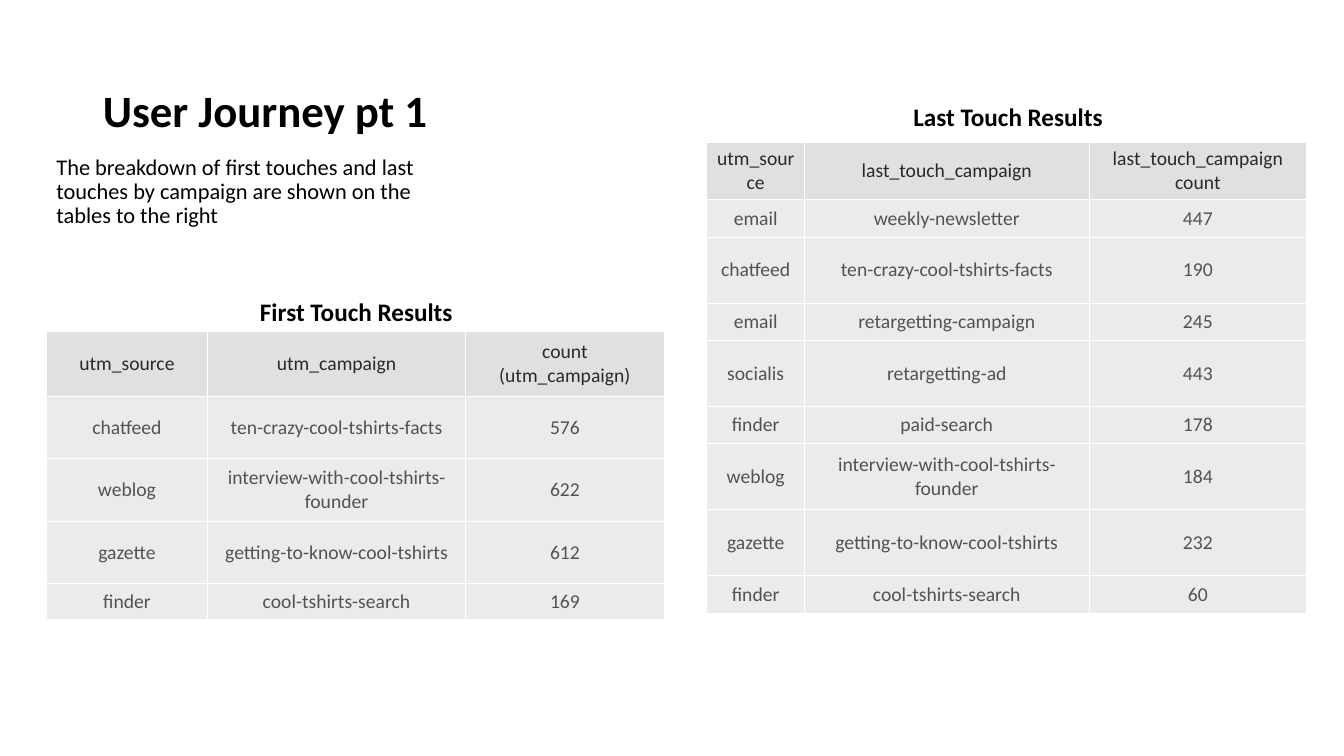
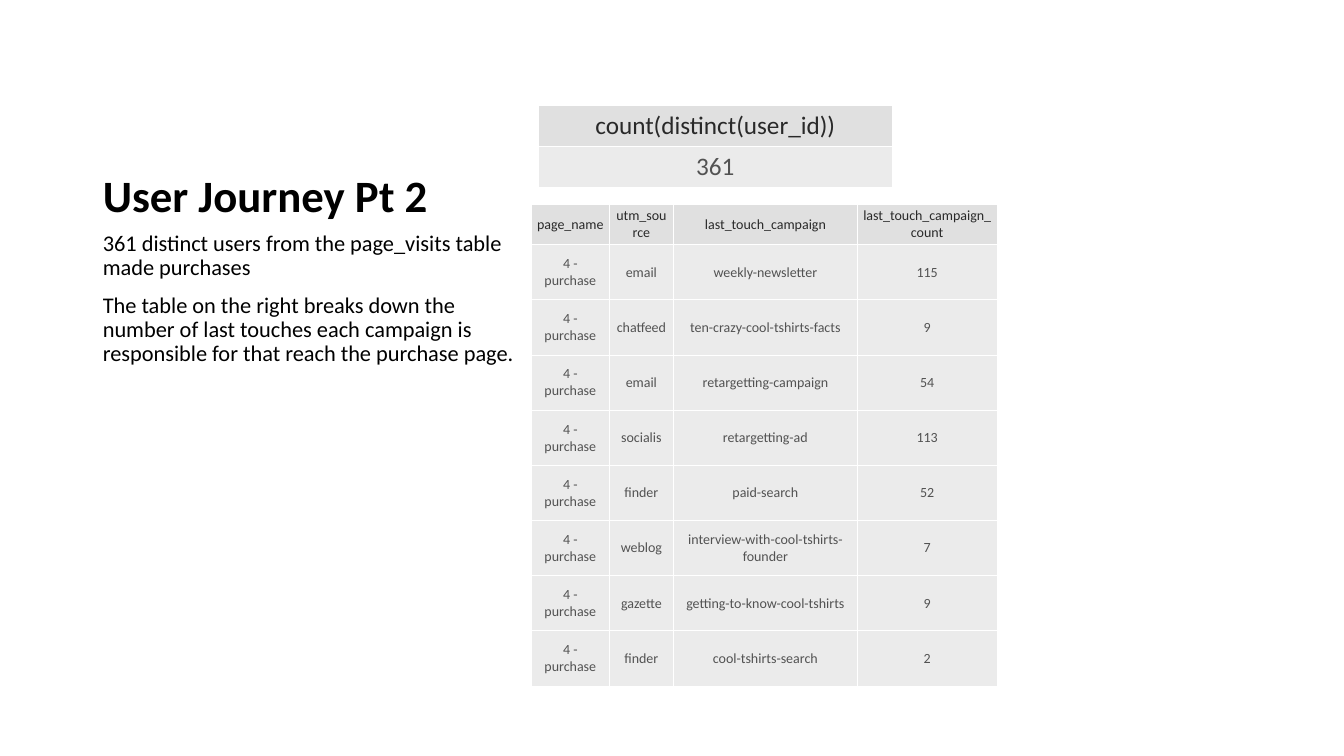
"""Build two slides on first-touch and last-touch campaign results."""
from dataclasses import dataclass

from lxml.etree import SubElement
from pptx import Presentation
from pptx.dml.color import RGBColor as Rgb
from pptx.enum.text import MSO_ANCHOR as Anchor, MSO_AUTO_SIZE as Fit, PP_ALIGN as Align
from pptx.oxml.ns import qn
from pptx.util import Inches, Pt


@dataclass(frozen=True)
class Theme:
    font: str = "Calibri"
    ink: str = "000000"
    head_ink: str = "292929"
    cell_ink: str = "525252"
    head_fill: str = "E0E0E0"
    cell_fill: str = "EBEBEB"
    rule: str = "FFFFFF"
    rule_width: float = 0.75
    title: int = 32
    caption: int = 18
    body: int = 16
    table: int = 14
    small: int = 10


theme = Theme()
deck = Presentation()
deck.slide_width, deck.slide_height = Inches(13.33), Inches(7.5)
col, row = deck.slide_width / 100, deck.slide_height / 100


def write(frame, text, size, color=theme.ink, bold=False, align=Align.LEFT,
          anchor=Anchor.TOP, spacing=1.0, before=0, wrap=True, fit=Fit.NONE):
    frame.text = text
    frame.word_wrap = wrap
    frame.auto_size = fit
    frame.vertical_anchor = anchor
    for para in frame.paragraphs:
        para.alignment = align
        para.line_spacing = spacing
        para.space_before = Pt(before)
        for span in para.runs:
            span.font.name = theme.font
            span.font.size = Pt(size)
            span.font.bold = bold
            span.font.color.rgb = Rgb.from_string(color)


def add_grid(page, left, top, widths, heights, records, size, pad):
    shape = page.shapes.add_table(
        len(heights), len(widths), int(left * col), int(top * row),
        int(sum(widths) * col), int(sum(heights) * row))
    table = shape.table
    for column, width in zip(table.columns, widths):
        column.width = int(width * col)
    for line, height in zip(table.rows, heights):
        line.height = int(height * row)
    for r, record in enumerate(records):
        ink, fill = ((theme.cell_ink, theme.cell_fill) if r
                     else (theme.head_ink, theme.head_fill))
        for c, value in enumerate(record):
            cell = table.cell(r, c)
            cell.margin_left = cell.margin_right = Inches(pad[0])
            cell.margin_top = cell.margin_bottom = Inches(pad[1])
            cell.vertical_anchor = Anchor.MIDDLE
            cell.text = str(value)
            for para in cell.text_frame.paragraphs:
                para.alignment = Align.CENTER
                for span in para.runs:
                    span.font.name = theme.font
                    span.font.size = Pt(size)
                    span.font.bold = False
                    span.font.color.rgb = Rgb.from_string(ink)
            props = cell._tc.get_or_add_tcPr()
            for side in ("a:lnL", "a:lnR", "a:lnT", "a:lnB"):
                border = SubElement(props, qn(side), w=str(Pt(theme.rule_width)))
                paint = SubElement(border, qn("a:solidFill"))
                SubElement(paint, qn("a:srgbClr"), val=theme.rule)
            cell.fill.solid()
            cell.fill.fore_color.rgb = Rgb.from_string(fill)


outlines = [
    ("User Journey pt 1", (6.9, 8.8, 32.25, 10),
     "The breakdown of first touches and last touches by campaign are shown "
     "on the tables to the right", (3.45, 20, 32.25, 20)),
    ("User Journey Pt 2", (6.9, 6.67, 32.25, 23.33),
     "361 distinct users from the page_visits table made purchases\n"
     "The table on the right breaks down the number of last touches each campaign "
     "is responsible for that reach the purchase page.", (6.9, 30, 32.25, 55.6)),
]
pages = []
for title, title_area, body, body_area in outlines:
    page = deck.slides.add_slide(deck.slide_layouts.get_by_name("Content with Caption"))
    unused = page.placeholders[1].element
    unused.getparent().remove(unused)
    title_box, body_box = page.shapes.title, page.placeholders[2]
    for box, (left, top, width, height) in ((title_box, title_area), (body_box, body_area)):
        box.left, box.top = int(left * col), int(top * row)
        box.width, box.height = int(width * col), int(height * row)
    write(title_box.text_frame, title, theme.title, bold=True,
          anchor=Anchor.BOTTOM, spacing=0.9)
    write(body_box.text_frame, body, theme.body, spacing=0.9, before=10)
    pages.append(page)
touch_page, purchase_page = pages

first_touches = [
    ("utm_source", "utm_campaign", "count (utm_campaign)"),
    ("chatfeed", "ten-crazy-cool-tshirts-facts", 576),
    ("weblog", "interview-with-cool-tshirts-founder", 622),
    ("gazette", "getting-to-know-cool-tshirts", 612),
    ("finder", "cool-tshirts-search", 169),
]
campaigns = [
    ("email", "weekly-newsletter", 447, 115),
    ("chatfeed", "ten-crazy-cool-tshirts-facts", 190, 9),
    ("email", "retargetting-campaign", 245, 54),
    ("socialis", "retargetting-ad", 443, 113),
    ("finder", "paid-search", 178, 52),
    ("weblog", "interview-with-cool-tshirts-founder", 184, 7),
    ("gazette", "getting-to-know-cool-tshirts", 232, 9),
    ("finder", "cool-tshirts-search", 60, 2),
]
last_touches = [("utm_source", "last_touch_campaign", "last_touch_campaign\ncount")]
purchases = [("page_name", "utm_source", "last_touch_campaign", "last_touch_campaign_count")]
for source, campaign, touches, buyers in campaigns:
    last_touches.append((source, campaign, touches))
    purchases.append(("4 - purchase", source, campaign, buyers))

short, tall = 4.93, 8.73
add_grid(touch_page, 3.45, 43.87, (12, 19.2, 14.78), [8.53] + [8.27] * 3 + [4.8],
         first_touches, theme.table, (0.1, 0.05))
add_grid(touch_page, 52.59, 18.8, (7.28, 21.16, 16.2),
         [7.6] + [short, tall] * 3 + [tall, short],
         last_touches, theme.table, (0.09, 0.05))
add_grid(purchase_page, 40.06, 14, [26.33], [5.4] * 2,
         [["count(distinct(user_id))"], [361]], theme.caption, (0.1, 0.05))
add_grid(purchase_page, 39.54, 27.07, (5.78, 4.8, 13.65, 10.43), [5.07] + [7.3] * 8,
         purchases, theme.small, (0.05, 0.03))

for text, left, top, width in (("First Touch Results", 18.6, 38.53, 15.98),
                               ("Last Touch Results", 67.22, 12.8, 15.68)):
    box = touch_page.shapes.add_textbox(
        int(left * col), int(top * row), int(width * col), int(5.33 * row))
    write(box.text_frame, text, theme.caption, bold=True, wrap=False, fit=Fit.SHAPE_TO_FIT_TEXT)

deck.save("out.pptx")
